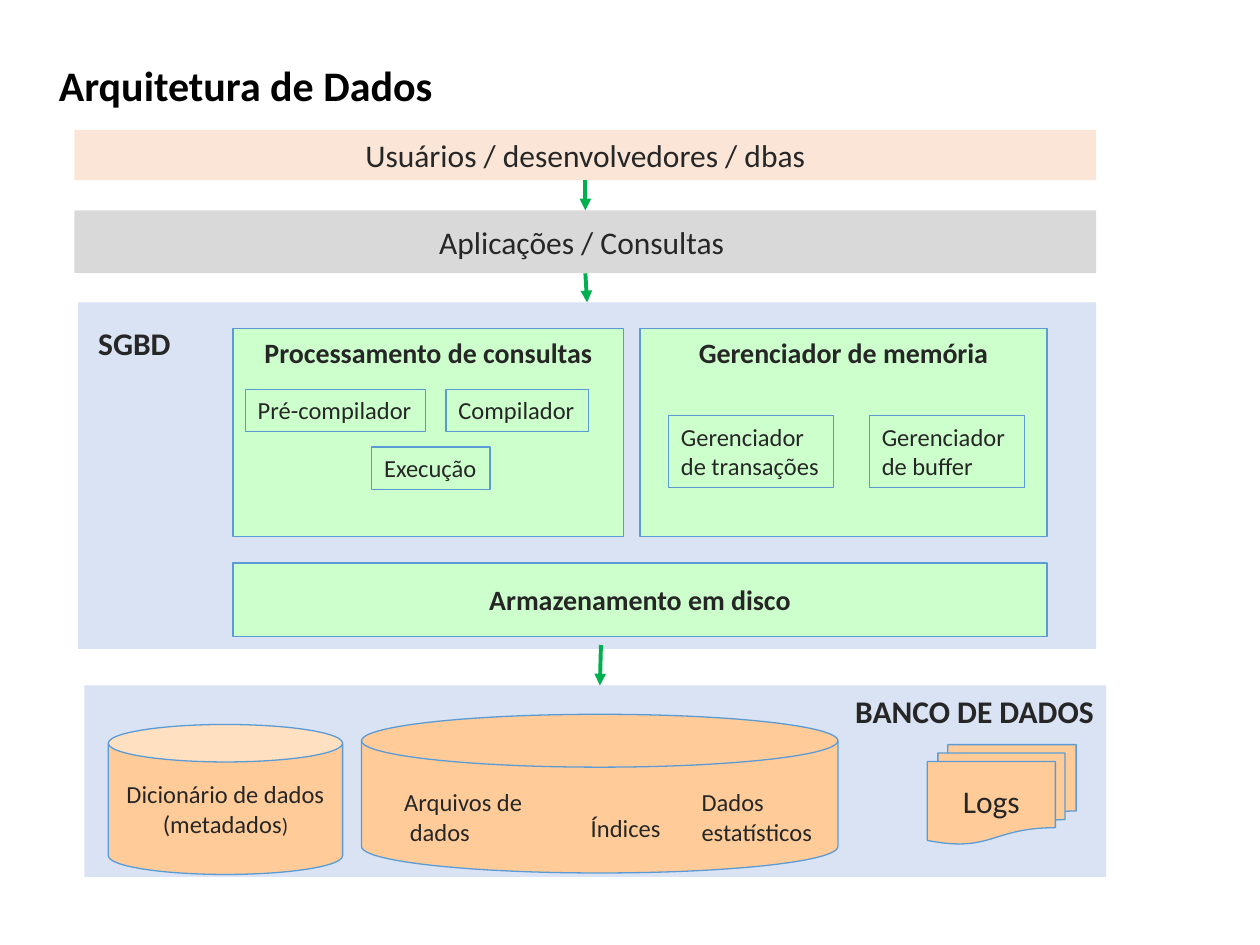
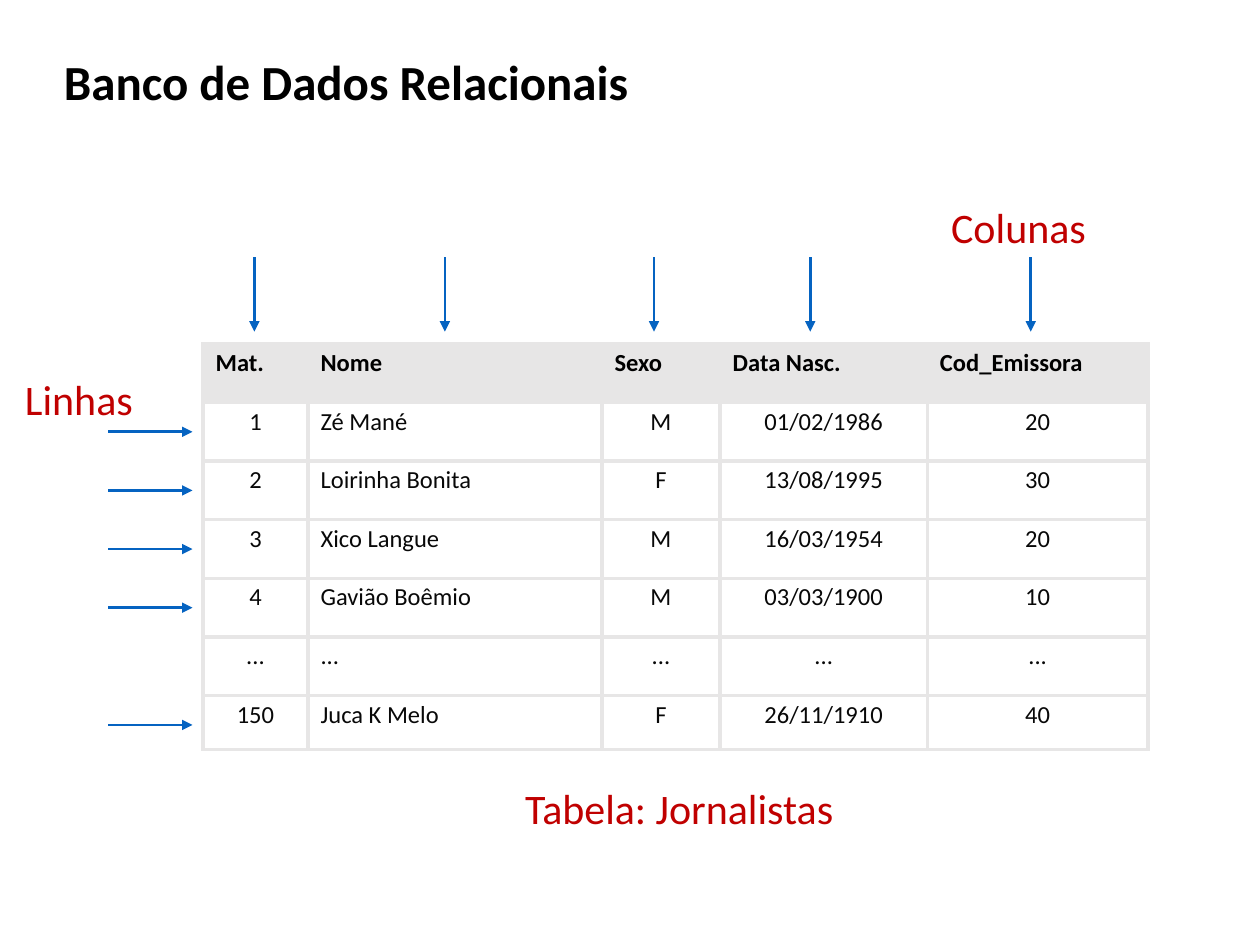
from dataclasses import dataclass

from lxml import etree
from pptx import Presentation
from pptx.dml.color import RGBColor
from pptx.enum.shapes import MSO_CONNECTOR, MSO_SHAPE
from pptx.enum.text import MSO_ANCHOR, MSO_AUTO_SIZE, PP_ALIGN
from pptx.oxml.ns import qn
from pptx.util import Pt

RECT = MSO_SHAPE.RECTANGLE
CAN = MSO_SHAPE.CAN
DISK = MSO_SHAPE.FLOWCHART_MAGNETIC_DISK
PAPERS = MSO_SHAPE.FLOWCHART_MULTIDOCUMENT
STRAIGHT = MSO_CONNECTOR.STRAIGHT
TOP, MIDDLE = MSO_ANCHOR.TOP, MSO_ANCHOR.MIDDLE
LEFT, CENTER, RIGHT = PP_ALIGN.LEFT, PP_ALIGN.CENTER, PP_ALIGN.RIGHT
GROW = MSO_AUTO_SIZE.SHAPE_TO_FIT_TEXT


@dataclass(frozen=True)
class Theme:
    font: str = "Calibri"
    black: str = "000000"
    ink: str = "262626"
    cell: str = "080808"
    red: str = "C00000"
    blue: str = "0563C1"
    edge: str = "5B9BD5"
    flow: str = "00B050"
    panel: str = "DAE3F3"
    grey: str = "D9D9D9"
    peach: str = "FBE5D6"
    mint: str = "CCFFCC"
    orange: str = "FFCC99"
    grid: str = "E7E6E6"
    small: int = 12
    body: int = 14
    head: int = 16
    band: int = 18
    label: int = 24
    title: int = 28


T = Theme()

# Table content and measures
HEADS = ["Mat.", "Nome", "Sexo", "Data Nasc.", "Cod_Emissora"]
ROWS = [
    ["1", "Zé Mané", "M", "01/02/1986", "20"],
    ["2", "Loirinha Bonita", "F", "13/08/1995", "30"],
    ["3", "Xico Langue", "M", "16/03/1954", "20"],
    ["4", "Gavião Boêmio", "M", "03/03/1900", "10"],
    ["...", "...", "...", "...", "..."],
    ["150", "Juca K Melo", "F", "26/11/1910", "40"],
]
WIDTHS = [60, 168, 67.5, 118.5, 126]
TABLE_X, TABLE_Y, ROW_H, LAST_H = 116, 196.5, 33.5, 31


def rgb(code):
    return RGBColor.from_string(code)


def style(para, size, color, bold=False, align=LEFT, lead=None):
    para.alignment = align
    if lead:
        para.line_spacing = lead
    font = para.font
    font.name, font.size, font.bold = T.font, Pt(size), bold
    font.color.rgb = rgb(color)


def write(shape, text, size, color=T.ink, bold=False, align=LEFT,
          anchor=TOP, wrap=False, grow=False, lead=None):
    frame = shape.text_frame
    frame.word_wrap = wrap
    frame.vertical_anchor = anchor
    if grow:
        frame.auto_size = GROW
    frame.text = text
    for para in frame.paragraphs:
        style(para, size, color, bold, align, lead)


def block(slide, kind, box, fill=None, edge=None):
    shape = slide.shapes.add_shape(kind, *map(Pt, box))
    shape.shadow.inherit = False
    if fill:
        shape.fill.solid()
        shape.fill.fore_color.rgb = rgb(fill)
    else:
        shape.fill.background()
    if edge:
        shape.line.color.rgb = rgb(edge)
        shape.line.width = Pt(0.75)
    else:
        shape.line.fill.background()
    return shape


def label(slide, box, text, size, color=T.ink, bold=False):
    note = slide.shapes.add_textbox(*map(Pt, box))
    write(note, text, size, color, bold, grow=True)


def title(slide, box, text, size, anchor):
    head = slide.shapes.add_textbox(*map(Pt, box))
    write(head, text, size, T.black, True, anchor=anchor, wrap=True, lead=0.9)


def arrow(slide, ends, color, width):
    line = slide.shapes.add_connector(STRAIGHT, *map(Pt, ends))
    line.line.color.rgb = rgb(color)
    line.line.width = Pt(width)
    etree.SubElement(line.line._get_or_add_ln(), qn("a:tailEnd"), type="triangle")
    etree.SubElement(line._element.spPr, qn("a:effectLst"))
    return line


def link(slide, above, below):
    line = arrow(slide, (0, 0, 0, 0), T.flow, 2.25)
    line.begin_connect(above, 2)
    line.end_connect(below, 0)


def frame_cell(cell, color, width):
    props = cell._tc.get_or_add_tcPr()
    for side in ("lnL", "lnR", "lnT", "lnB"):
        line = etree.SubElement(props, qn("a:" + side), w=str(Pt(width)))
        fill = etree.SubElement(line, qn("a:solidFill"))
        etree.SubElement(fill, qn("a:srgbClr"), val=color)


def grid(slide):
    data = [HEADS] + ROWS
    high = ROW_H * len(ROWS) + LAST_H
    table = slide.shapes.add_table(
        len(data), len(HEADS), Pt(TABLE_X), Pt(TABLE_Y),
        Pt(sum(WIDTHS)), Pt(high)).table
    table.horz_banding = False
    for column, width in zip(table.columns, WIDTHS):
        column.width = Pt(width)
    for r, values in enumerate(data):
        table.rows[r].height = Pt(LAST_H if r == len(ROWS) else ROW_H)
        for c, value in enumerate(values):
            cell = table.cell(r, c)
            frame_cell(cell, T.grid, 2.25)
            cell.text = value
            para = cell.text_frame.paragraphs[0]
            if r == 0:
                cell.fill.solid()
                cell.fill.fore_color.rgb = rgb(T.grid)
                style(para, T.body, T.black, True, lead=0.9)
            else:
                cell.fill.background()
                side = LEFT if c == 1 else CENTER
                style(para, T.body, T.cell, align=side, lead=0.9)


def layers(slide):
    title(slide, (26.6, 0, 526, 100.8), "Arquitetura de Dados", T.label, MIDDLE)

    # Layers from users down to the database
    bank = block(slide, RECT, (48.2, 391.7, 584, 109.4), T.panel)
    write(bank, "BANCO DE DADOS", T.band, bold=True, align=RIGHT)
    apps = block(slide, RECT, (42.5, 120.2, 584, 36), T.grey)
    write(apps, "Aplicações / Consultas ", T.band, align=CENTER, anchor=MIDDLE)
    users = block(slide, RECT, (42.5, 74.2, 584, 28.8), T.peach)
    write(users, "Usuários / desenvolvedores / dbas", T.band,
          align=CENTER, wrap=True, grow=True)
    system = block(slide, RECT, (44.6, 172.8, 581.8, 198), T.panel)
    label(slide, (49, 181.4, 56.2, 28.8), "SGBD", T.band, bold=True)
    link(slide, users, apps)
    link(slide, apps, system)
    arrow(slide, (343.4, 368.6, 342.8, 391.7), T.flow, 2.25)

    # Modules of the system
    for box, text, anchor in [
        ((133.2, 187.9, 223.2, 118.8), "Processamento de consultas", TOP),
        ((365.8, 187.9, 232.5, 118.8), "Gerenciador de memória", TOP),
        ((133.2, 321.8, 465.1, 41.8), "Armazenamento em disco", MIDDLE),
    ]:
        part = block(slide, RECT, box, T.mint, T.edge)
        write(part, text, T.head, bold=True, align=CENTER, anchor=anchor)

    for box, text in [
        ((140.2, 222.4, 103, 24.3), "Pré-compilador"),
        ((254.9, 222.4, 81.4, 24.3), "Compilador"),
        ((212.4, 255.5, 67.7, 24.3), "Execução"),
        ((382, 237.5, 94.3, 41.2), "Gerenciador\nde transações"),
        ((496.8, 237.5, 88.5, 41.2), "Gerenciador\nde buffer"),
    ]:
        write(block(slide, RECT, box, edge=T.edge), text, T.body, grow=True)

    # Stores in the database
    words = block(slide, CAN, (61.9, 414, 133.9, 85.7), T.orange, T.edge)
    write(words, "Dicionário de dados\n(metadados", T.body,
          align=CENTER, anchor=MIDDLE)
    close = words.text_frame.paragraphs[1].add_run()
    close.text = ")"
    close.font.size = Pt(T.small)
    block(slide, DISK, (206.6, 408.2, 272.2, 90.7), T.orange, T.edge)
    for box, text in [
        ((223.9, 446.4, 82.8, 41.2), "Arquivos de\n dados"),
        ((330.5, 460.8, 54.7, 24.3), "Índices"),
        ((393.8, 446.4, 78.5, 41.2), "Dados\nestatísticos"),
    ]:
        label(slide, box, text, T.body)
    logs = block(slide, PAPERS, (529.9, 425.5, 85, 56.9), T.orange, T.edge)
    write(logs, "Logs", T.band, align=CENTER, anchor=MIDDLE)


def tables(slide):
    title(slide, (29.5, 29.5, 559.4, 90), "Banco de Dados Relacionais", T.title, TOP)
    grid(slide)

    # Names of the table and its parts
    for box, text in [
        ((293, 443.5, 192.2, 36), "Tabela: Jornalistas"),
        ((7.2, 210.2, 77, 36), "Linhas"),
        ((536.4, 111.6, 92.2, 36), "Colunas"),
    ]:
        label(slide, box, text, T.label, T.red)

    # Arrows to the rows with data, then to the columns
    for r, values in enumerate(ROWS, 1):
        if values[0] != "...":
            y = TABLE_Y + ROW_H * (r + 0.5)
            arrow(slide, (62, y, 110, y), T.blue, 1.5)
    for x in (145.4, 254.2, 373.7, 463, 589):
        arrow(slide, (x, 147, x, 189.5), T.blue, 1.5)


def main():
    deck = Presentation()
    deck.slide_width, deck.slide_height = Pt(720), Pt(540)
    blank = deck.slide_layouts[6]
    for build in (layers, tables):
        build(deck.slides.add_slide(blank))
    deck.save("out.pptx")


if __name__ == "__main__":
    main()
